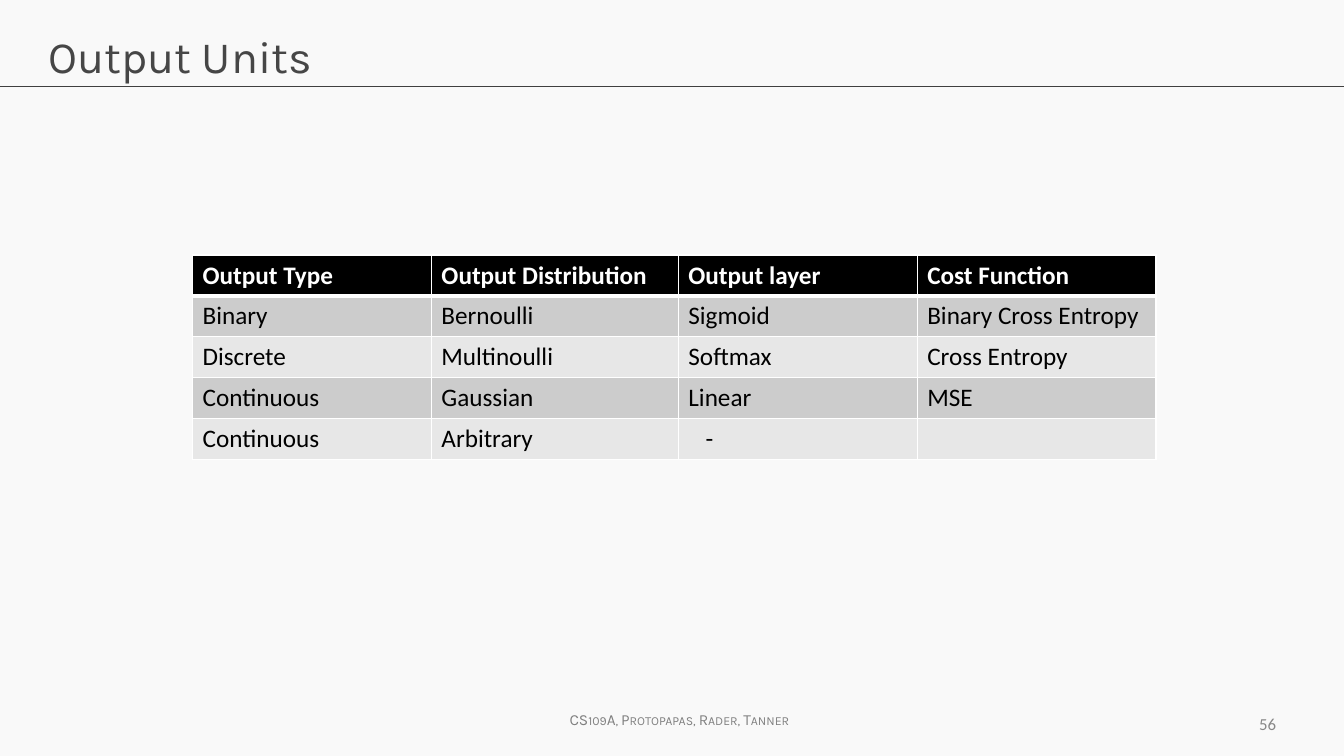
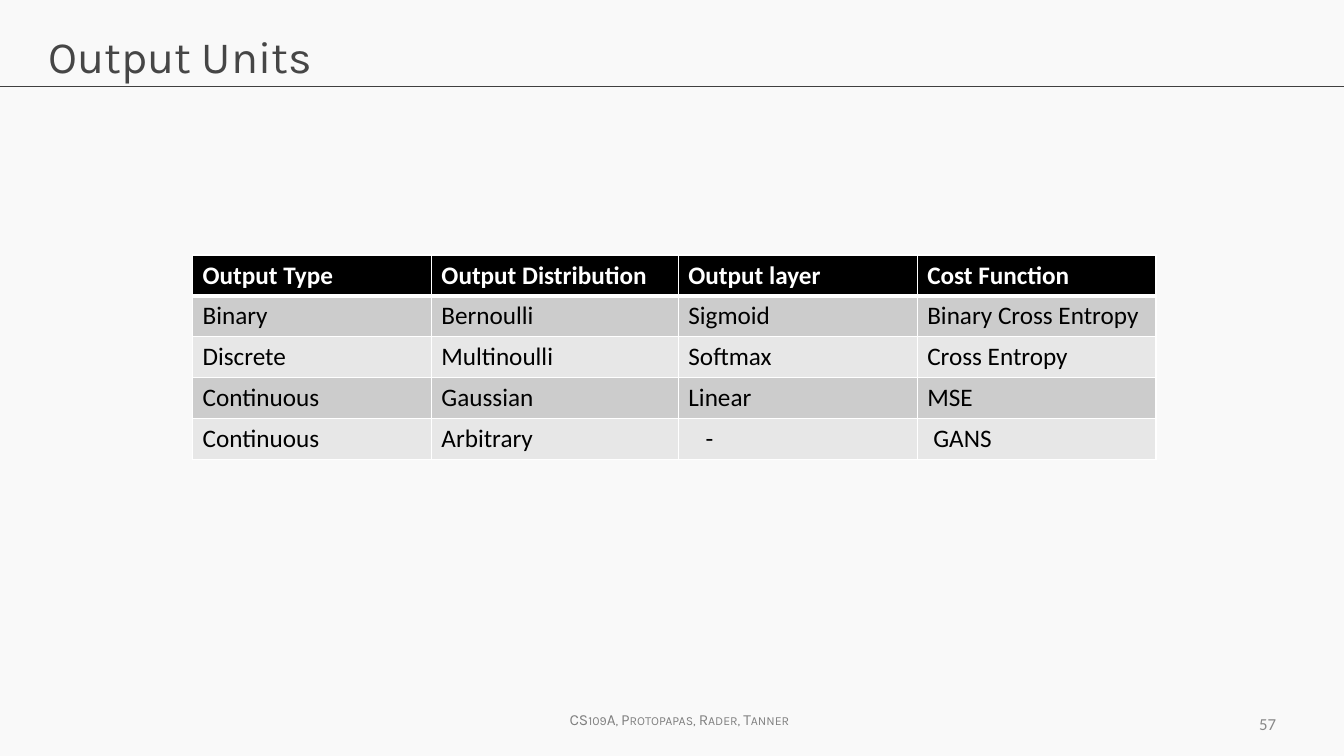
from dataclasses import dataclass
from typing import NamedTuple

from lxml.etree import SubElement
from pptx import Presentation
from pptx.dml.color import RGBColor
from pptx.enum.shapes import MSO_CONNECTOR as Connector
from pptx.enum.text import MSO_ANCHOR as Anchor, PP_ALIGN as Align
from pptx.oxml.ns import qn
from pptx.util import Inches, Pt


@dataclass(frozen=True)
class Theme:
    heading_font: str = "Karla"
    body_font: str = "Calibri"
    title_size: float = 32
    table_size: float = 18
    number_size: float = 12
    footer_size: float = 11
    background: str = "F9F9F9"
    title: str = "464646"
    rule: str = "404040"
    footer: str = "808080"
    number: str = "888888"
    header_fill: str = "000000"
    header_text: str = "FFFFFF"
    cell_text: str = "000000"
    bands: tuple = ("CCCCCC", "E7E7E7")
    border: str = "FFFFFF"
    thin: float = 1
    thick: float = 3


class Box(NamedTuple):
    """Left, top, width and height in grid units."""
    left: float
    top: float
    width: float
    height: float


THEME = Theme()
COLUMNS, ROWS = 133.33, 75  # grid units of a tenth of an inch

TITLE_BOX = Box(3.8, 2.4, 125.7, 8.4)
RULE_BOX = Box(0, 8.6, COLUMNS, 0)
FOOTER_BOX = Box(54.9, 70, 25, 2.9)
NUMBER_BOX = Box(124.3, 70.5, 2.8, 2.7)
TABLE_BOX = Box(19.1, 25.3, 95.6, 20.3)

COLUMN_SHARES = (237, 245, 237, 237)
HEADER = ("Output Type", "Output Distribution", "Output layer", "Cost Function")
UNITS = (
    ("Binary", "Bernoulli", "Sigmoid", "Binary Cross Entropy"),
    ("Discrete", "Multinoulli", "Softmax", "Cross Entropy"),
    ("Continuous", "Gaussian", "Linear", "MSE"),
)
CELL_MARGIN = 1
INDENTS = {"-": 1.7, "GANS": 0.6}  # extra left margin of the open entries


def grid(units):
    return Inches(units / 10)


def place(box):
    return [grid(length) for length in box]


def color(code):
    return RGBColor.from_string(code)


def add_run(paragraph, text, size, font, code, bold=False):
    run = paragraph.add_run()
    run.text = text
    run.font.size = Pt(size)
    run.font.name = font
    run.font.bold = bold
    run.font.color.rgb = color(code)
    return run


def add_text(slide, box, text, size, font, code, align=Align.LEFT,
             anchor=Anchor.TOP, wrap=False, inset=None):
    frame = slide.shapes.add_textbox(*place(box)).text_frame
    frame.word_wrap = wrap
    frame.vertical_anchor = anchor
    if inset is not None:
        frame.margin_left = frame.margin_right = grid(inset)
        frame.margin_top = frame.margin_bottom = grid(inset)
    paragraph = frame.paragraphs[0]
    paragraph.alignment = align
    return add_run(paragraph, text, size, font, code)


# Title with the rule below it
def add_title(slide, text):
    left, top, width, height = place(RULE_BOX)
    rule = slide.shapes.add_connector(
        Connector.STRAIGHT, left, top, left + width, top + height)
    rule.line.color.rgb = color(THEME.rule)
    rule.line.width = Pt(0.75)
    SubElement(rule.element.spPr, qn("a:effectLst"))
    add_text(slide, TITLE_BOX, text, THEME.title_size, THEME.heading_font,
             THEME.title, wrap=True)


# Course line and slide number
def add_footer(slide, number):
    add_text(slide, NUMBER_BOX, str(number), THEME.number_size,
             THEME.body_font, THEME.number, Align.RIGHT, Anchor.MIDDLE,
             inset=0.5)
    course = add_text(slide, FOOTER_BOX, "CS109A, Protopapas, Rader, Tanner",
                      THEME.footer_size, THEME.heading_font, THEME.footer,
                      Align.CENTER)
    course.font._element.set("cap", "small")


def set_borders(cell, top, bottom):
    properties = cell._tc.get_or_add_tcPr()
    widths = {"L": THEME.thin, "R": THEME.thin, "T": top, "B": bottom}
    for side, width in widths.items():
        line = SubElement(properties, qn(f"a:ln{side}"), w=str(Pt(width)))
        fill = SubElement(line, qn("a:solidFill"))
        SubElement(fill, qn("a:srgbClr"), val=THEME.border)


def fill_cell(cell, text, row):
    is_header = row == 0
    set_borders(cell, top=THEME.thick if row == 1 else THEME.thin,
                bottom=THEME.thick if is_header else THEME.thin)
    cell.fill.solid()
    cell.fill.fore_color.rgb = color(
        THEME.header_fill if is_header else THEME.bands[(row - 1) % 2])
    cell.margin_left = grid(CELL_MARGIN + INDENTS.get(text, 0))
    if text:
        add_run(cell.text_frame.paragraphs[0], text, THEME.table_size,
                THEME.body_font,
                THEME.header_text if is_header else THEME.cell_text, is_header)


# Table of output units
def add_units_table(slide, box, records):
    table = slide.shapes.add_table(
        len(records), len(COLUMN_SHARES), *place(box)).table
    table.horz_banding = False
    for column, share in zip(table.columns, COLUMN_SHARES):
        column.width = grid(box.width * share / sum(COLUMN_SHARES))
    for row, record in enumerate(records):
        table.rows[row].height = grid(box.height / len(records))
        for column, text in enumerate(record):
            fill_cell(table.cell(row, column), text, row)


def add_units_slide(presentation, number, arbitrary_cost):
    slide = presentation.slides.add_slide(presentation.slide_layouts[6])
    add_footer(slide, number)
    add_title(slide, "Output Units")
    arbitrary = ("Continuous", "Arbitrary", "-", arbitrary_cost)
    add_units_table(slide, TABLE_BOX, (HEADER, *UNITS, arbitrary))


def main():
    presentation = Presentation()
    presentation.slide_width = grid(COLUMNS)
    presentation.slide_height = grid(ROWS)
    background = presentation.slide_master.background.fill
    background.solid()
    background.fore_color.rgb = color(THEME.background)
    for number, arbitrary_cost in enumerate(("", "GANS"), start=56):
        add_units_slide(presentation, number, arbitrary_cost)
    presentation.save("out.pptx")


if __name__ == "__main__":
    main()
